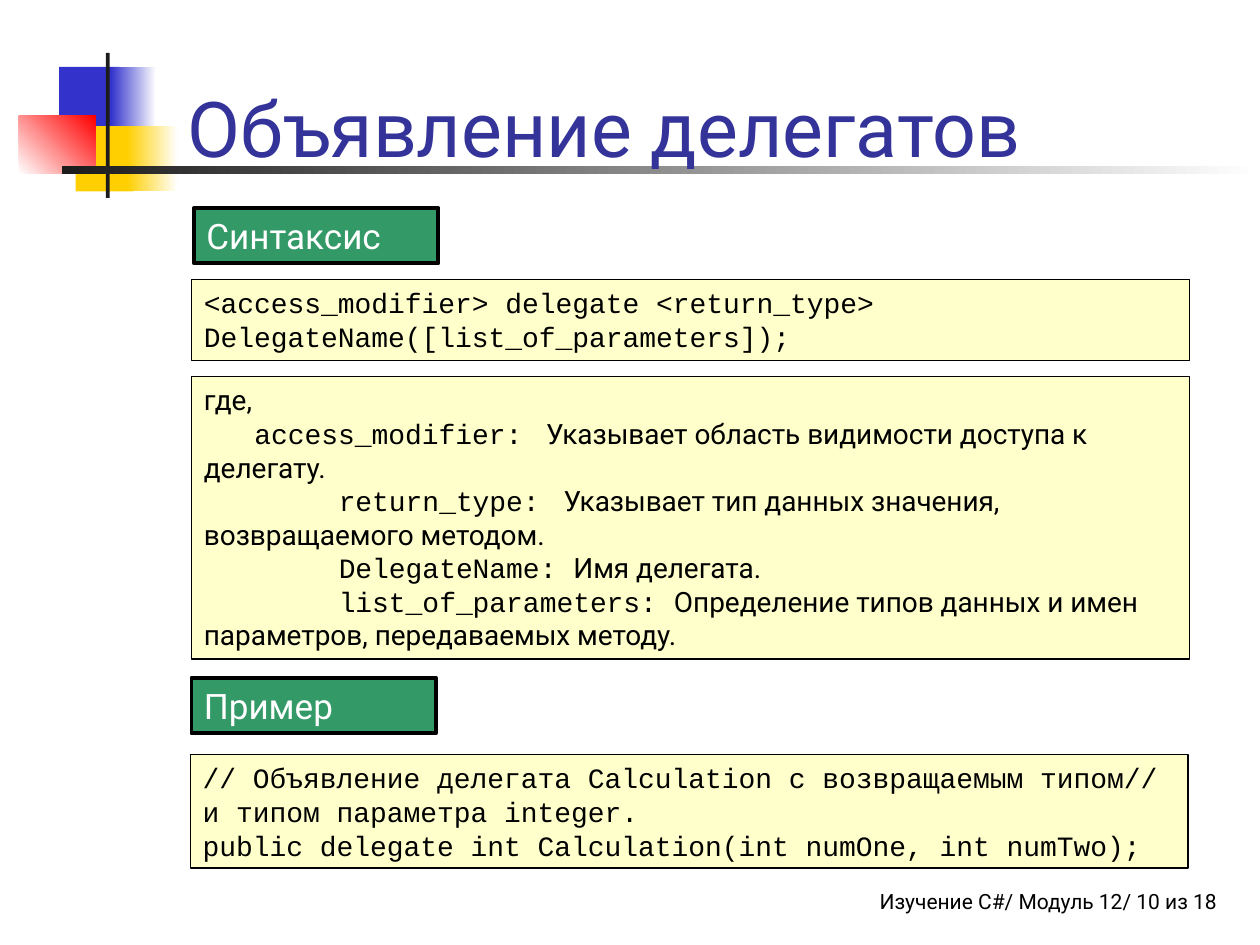
from pptx import Presentation
from pptx.dml.color import RGBColor
from pptx.enum.shapes import MSO_SHAPE
from pptx.enum.text import MSO_ANCHOR, MSO_AUTO_SIZE, PP_ALIGN
from pptx.util import Inches, Pt

SANS, MONO = "Roboto", "Courier New"

# Corner decoration: left, top, width, height, colours (two make a gradient), angle
DECORATION = [
    (0.47, 0.53, 0.48, 0.52, ["3333CC"], 0),
    (0.88, 0.53, 0.36, 0.52, ["3333CC", "FFFFFF"], 0),
    (0.6, 1, 0.46, 0.52, ["FFCF01"], 0),
    (1.01, 1, 0.4, 0.52, ["FFCF01", "FFFFFF"], 0),
    (0.15, 0.92, 0.61, 0.46, ["FFFFFF", "FF0000"], 45),
    (0.84, 0.42, 0.03, 1.15, ["1C1C1C"], 0),
    (0.49, 1.32, 9.51, 0.06, ["1C1C1C", "FFFFFF"], 0),
]

TITLE = "Объявление делегатов"
FOOTER = "Изучение C#/ Модуль 12/ 10 из 18"

# Box styles
HEADING = {"width": 1.94, "height": 0.44, "fill": "339966", "line": 2.25,
           "size": 20, "color": "FFFFFF"}
PANEL = {"width": 7.92, "fill": "FFFFCC", "line": 0.75,
         "size": 16, "color": "000000"}

# Boxes: left, top, style, paragraphs as (first-line indent, runs)
TAB = 1.07
BOXES = [
    (1.54, 1.65, HEADING, [(0, [("Синтаксис", SANS)])]),
    (1.52, 2.22, {**PANEL, "height": 0.64}, [
        (0, [("<access_modifier> delegate <return_type> "
              "DelegateName([list_of_parameters]);", MONO)]),
    ]),
    (1.52, 2.99, {**PANEL, "height": 2.24}, [
        (0, [("где,", SANS)]),
        (0.4, [("access_modifier: ", MONO),
               (" Указывает область видимости доступа к делегату.", SANS)]),
        (TAB, [("return_type: ", MONO),
               (" Указывает тип данных значения, возвращаемого методом.", SANS)]),
        (TAB, [("DelegateName: ", MONO), ("Имя делегата.", SANS)]),
        (TAB, [("list_of_parameters: ", MONO),
               ("Определение типов данных и имен параметров, "
                "передаваемых методу.", SANS)]),
    ]),
    (1.52, 5.38, HEADING, [(0, [("Пример", SANS)])]),
    (1.51, 5.99, {**PANEL, "height": 0.9}, [
        (0, [("// Объявление делегата Calculation с возвращаемым типом// "
              "и типом параметра integer.", MONO)]),
        (0, [("public delegate int Calculation(int numOne, int numTwo);", MONO)]),
    ]),
]


def rgb(value):
    return RGBColor.from_string(value)


def add_rect(s, left, top, width, height, colors, angle=0):
    sp = s.shapes.add_shape(MSO_SHAPE.RECTANGLE, Inches(left), Inches(top),
                            Inches(width), Inches(height))
    sp.shadow.inherit = False
    sp.line.fill.background()
    if len(colors) == 1:
        sp.fill.solid()
        sp.fill.fore_color.rgb = rgb(colors[0])
    else:
        sp.fill.gradient()
        sp.fill.gradient_angle = angle
        for stop, color in zip(sp.fill.gradient_stops, colors):
            stop.color.rgb = rgb(color)
    return sp


def write(sp, paragraphs, size, color, align=PP_ALIGN.LEFT, **frame):
    tf = sp.text_frame
    settings = {"word_wrap": True, "vertical_anchor": MSO_ANCHOR.TOP, **frame}
    for name, value in settings.items():
        setattr(tf, name, value)
    for i, (indent, runs) in enumerate(paragraphs):
        p = tf.add_paragraph() if i else tf.paragraphs[0]
        p.alignment = align
        if indent:
            pPr = p._p.get_or_add_pPr()
            pPr.set("marL", "0")
            pPr.set("indent", str(Inches(indent)))
        for text, font in runs:
            r = p.add_run()
            r.text = text
            for name, value in {"name": font, "size": Pt(size)}.items():
                setattr(r.font, name, value)
            r.font.color.rgb = rgb(color)


def add_text(s, left, top, width, height, text, *args, **frame):
    sp = s.shapes.add_textbox(Inches(left), Inches(top), Inches(width), Inches(height))
    write(sp, [(0, [(text, SANS)])], *args, **frame)


def main():
    prs = Presentation()
    prs.slide_width, prs.slide_height = Inches(10), Inches(7.5)
    s = prs.slides.add_slide(prs.slide_layouts[6])

    # Footer, decoration and title
    add_text(s, 4.58, 7, 5.08, 0.33, FOOTER, 12, "000000", PP_ALIGN.RIGHT,
             margin_right=0)
    for part in DECORATION:
        add_rect(s, *part)
    add_text(s, 1.39, 0.17, 8.52, 1.25, TITLE, 44, "333399",
             vertical_anchor=MSO_ANCHOR.BOTTOM)

    # Headings and panels
    for left, top, style, paragraphs in BOXES:
        sp = add_rect(s, left, top, style["width"], style["height"], [style["fill"]])
        sp.line.color.rgb = rgb("000000")
        sp.line.width = Pt(style["line"])
        write(sp, paragraphs, style["size"], style["color"],
              auto_size=MSO_AUTO_SIZE.SHAPE_TO_FIT_TEXT)

    prs.save("out.pptx")


if __name__ == "__main__":
    main()
